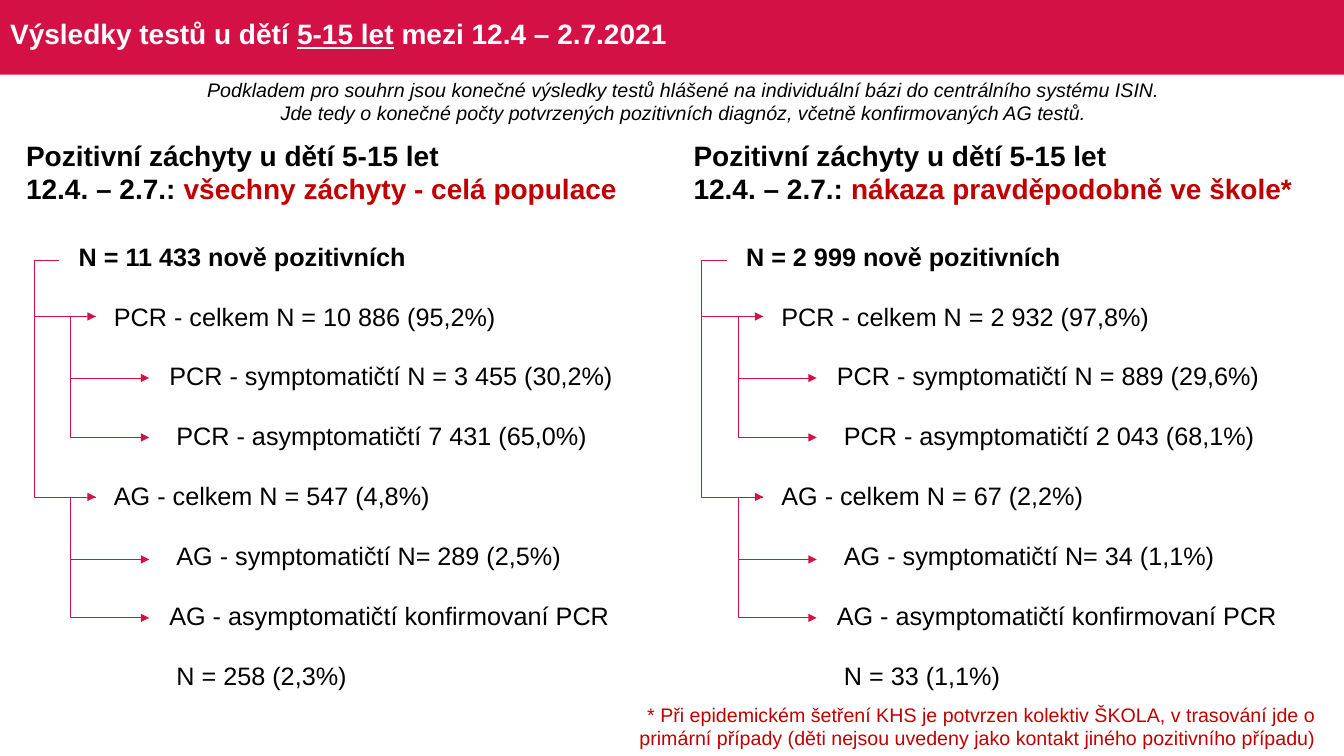
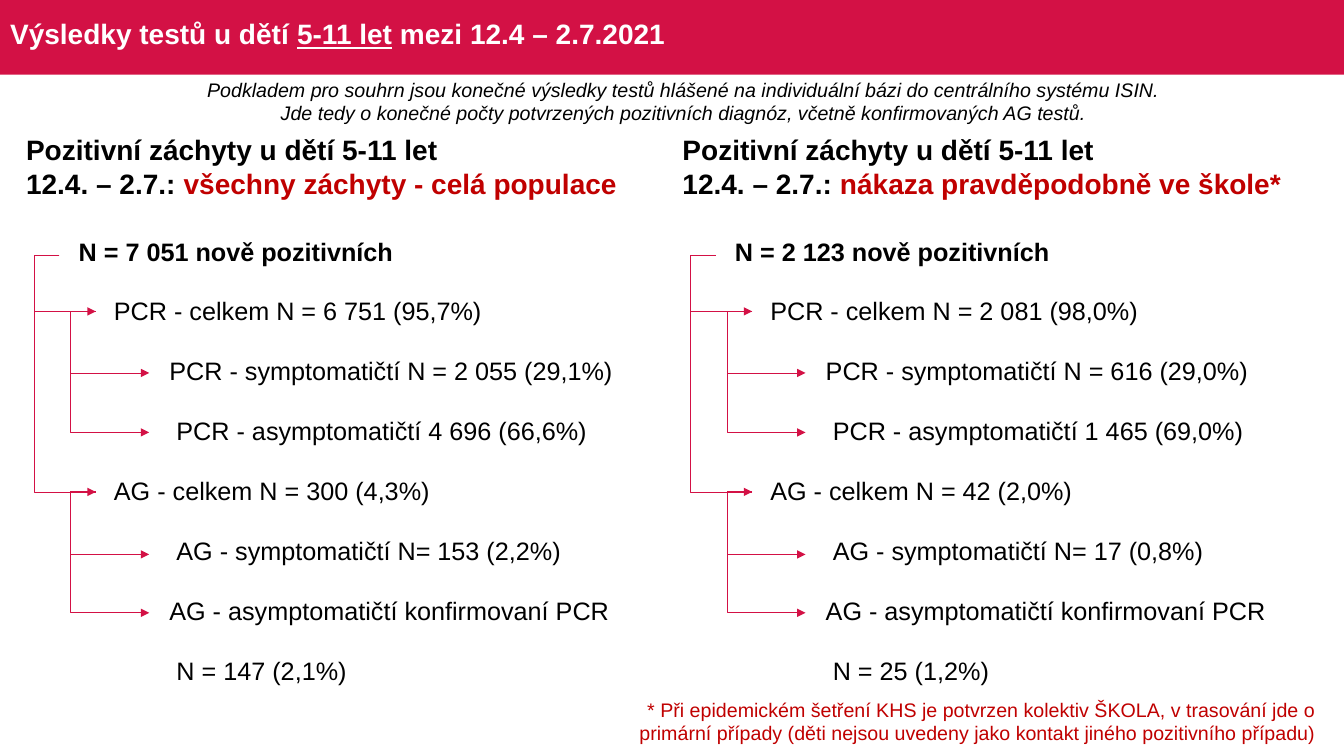
from dataclasses import dataclass

from lxml import etree
from pptx import Presentation, util as u
from pptx.dml.color import RGBColor
from pptx.enum import shapes, text
from pptx.oxml.ns import qn

PX = 9144  # one px in EMU, 100 px to the inch
PLAIN_GRID = "{2D5ABB26-0587-4C30-8999-92F81FD0307C}"


@dataclass(frozen=True)
class Theme:
    face: str = "Arial"
    brand: RGBColor = RGBColor(0xD3, 0x11, 0x45)
    white: RGBColor = RGBColor(0xFF, 0xFF, 0xFF)
    ink: RGBColor = RGBColor(0, 0, 0)
    alert: RGBColor = RGBColor(0xC0, 0, 0)
    head: int = 20
    row: int = 18
    note: int = 14
    line: float = 0.5


T = Theme()
TITLE = dict(size=T.head, color=T.white, bold=True)
HEAD = dict(size=T.head, color=T.ink, bold=True)
MARK = {**HEAD, "color": T.alert}
ROW = dict(size=T.row, color=T.ink, bold=False)
LEAD = dict(size=T.note, color=T.ink, italic=True)
NOTE = dict(size=T.note, color=T.alert)

INTRO = (
    "Podkladem pro souhrn jsou konečné výsledky testů hlášené na individuální bázi do centrálního systému ISIN.",
    "Jde tedy o konečné počty potvrzených pozitivních diagnóz, včetně konfirmovaných AG testů.",
)
FOOT = ("* Při epidemickém šetření KHS je potvrzen kolektiv ŠKOLA, v trasování jde o "
        "primární případy (děti nejsou uvedeny jako kontakt jiného pozitivního případu)")
SCOPES = "všechny záchyty - celá populace", "nákaza pravděpodobně ve škole*"

# Row wording and left indent
ROWS = (
    ("N = {} nově pozitivních", 1),
    ("PCR - celkem N = {}", 36),
    ("PCR - symptomatičtí N = {}", 91),
    ("PCR - asymptomatičtí {}", 98),
    ("AG - celkem N = {}", 36),
    ("AG - symptomatičtí N= {}", 98),
    ("AG - asymptomatičtí konfirmovaní PCR", 91),
    ("N = {}", 98),
)
# Arrows of the tree: start x, start y, end x, end y from the table's top
ARROWS = (
    (43, 33, 79, 268), (79, 89, 132, 150), (79, 89, 132, 209),
    (79, 268, 132, 330), (79, 268, 132, 388), (43, 33, 79, 89),
)
BEND = 25  # how far an arrow first runs to the left

# Age group, top of panels, then left edge and values of each panel
PAGES = (
    ("5-15 let", 132, (
        (16, ("11 433", "10 886 (95,2%)", "3 455 (30,2%)", "7 431 (65,0%)",
              "547 (4,8%)", "289 (2,5%)", "", "258 (2,3%)")),
        (678, ("2 999", "2 932 (97,8%)", "889 (29,6%)", "2 043 (68,1%)",
               "67 (2,2%)", "34 (1,1%)", "", "33 (1,1%)")))),
    ("5-11 let", 127, (
        (16, ("7 051", "6 751 (95,7%)", "2 055 (29,1%)", "4 696 (66,6%)",
              "300 (4,3%)", "153 (2,2%)", "", "147 (2,1%)")),
        (667, ("2 123", "2 081 (98,0%)", "616 (29,0%)", "1 465 (69,0%)",
               "42 (2,0%)", "17 (0,8%)", "", "25 (1,2%)")))),
)


def px(*vals):
    return [u.Emu(v * PX) for v in vals]


def write(para, runs, align=text.PP_ALIGN.LEFT):
    """Fill a paragraph with (text, format) runs."""
    para.alignment = align
    for words, form in runs:
        run = para.add_run()
        run.text = words
        run.font.name = T.face
        for key, val in form.items():
            if key == "color":
                run.font.color.rgb = val
            else:
                setattr(run.font, key, u.Pt(val) if key == "size" else val)


def add_text(slide, box, lines, align=text.PP_ALIGN.LEFT):
    frame = slide.shapes.add_textbox(*px(*box)).text_frame
    frame.word_wrap = True
    for num, runs in enumerate(lines):
        para = frame.add_paragraph() if num else frame.paragraphs[0]
        write(para, runs, align)


def add_arrow(slide, left, top, right, low):
    link = slide.shapes.add_connector(
        shapes.MSO_CONNECTOR.ELBOW, *px(left, top, right, low))
    link.line.color.rgb = T.brand
    link.line.width = u.Pt(T.line)
    props = link.element.spPr
    # Bend to the left of the start
    shift = round(-BEND / (right - left) * 100000)
    guides = props.find(qn("a:prstGeom")).get_or_add_avLst()
    etree.SubElement(guides, qn("a:gd"), name="adj1", fmla=f"val {shift}")
    # Arrowhead, no shadow
    etree.SubElement(props.find(qn("a:ln")), qn("a:tailEnd"), type="triangle")
    etree.SubElement(props, qn("a:effectLst"))


def add_rows(slide, box, vals):
    frame = slide.shapes.add_table(len(ROWS), 1, *px(*box))
    grid = frame.table
    grid.first_row = grid.horz_banding = False
    for mark in frame.element.iter(qn("a:tableStyleId")):
        mark.text = PLAIN_GRID
    for num, ((words, dent), val) in enumerate(zip(ROWS, vals)):
        cell = grid.cell(num, 0)
        cell.fill.background()
        cell.vertical_anchor = text.MSO_ANCHOR.MIDDLE
        sides = dict(left=dent, top=1, right=1, bottom=0)
        for side, size in sides.items():
            setattr(cell, f"margin_{side}", u.Emu(size * PX))
        write(cell.text_frame.paragraphs[0],
              [(words.format(val), {**ROW, "bold": num == 0})])


def add_panel(slide, left, top, ages, scope, vals):
    """Heading, table and tree of arrows for one group of cases."""
    add_rows(slide, (left + 61, top + 93, 601, 476), vals)
    add_text(slide, (left, top, 618, 77), (
        [(f"Pozitivní záchyty u dětí {ages}", HEAD)],
        [("12.4. – 2.7.: ", HEAD), (scope, MARK)]))
    for x1, y1, x2, y2 in ARROWS:
        add_arrow(slide, left + x1, top + 93 + y1, left + x2, top + 93 + y2)


def set_layout(deck):
    """Put the band and the title's place on the shared layout."""
    layout = deck.slide_layouts.get_by_name("Title Only")
    title = layout.placeholders[0]
    spots = zip(("left", "top", "width", "height"), px(0, 4, 1315, 63))
    for key, val in spots:
        setattr(title, key, val)
    return layout


def add_band(slide, layout):
    band = slide.shapes.add_shape(
        shapes.MSO_SHAPE.RECTANGLE, *px(0, 0, 1334, 74))
    band.shadow.inherit = False
    band.fill.solid()
    band.fill.fore_color.rgb = T.brand
    band.line.fill.background()
    layout.shapes.element.insert(2, band.element)


def add_page(deck, layout, ages, top, panels):
    slide = deck.slides.add_slide(layout)
    # Title
    frame = slide.shapes.title.text_frame
    frame.vertical_anchor = text.MSO_ANCHOR.MIDDLE
    para = frame.paragraphs[0]
    para.line_spacing = 0.9
    write(para, [("Výsledky testů u dětí ", TITLE),
                 (ages, {**TITLE, "underline": True}),
                 (" mezi 12.4 – 2.7.2021", TITLE)])
    # Two panels
    for (left, vals), scope in zip(panels, SCOPES):
        add_panel(slide, left, top, ages, scope, vals)
    # Footnote and introduction
    add_text(slide, (620, top + 560, 695, 57), [[(FOOT, NOTE)]],
             text.PP_ALIGN.RIGHT)
    add_text(slide, (179, 72, 998, 57), [[(line, LEAD)] for line in INTRO],
             text.PP_ALIGN.CENTER)
    return slide


def main():
    deck = Presentation()
    deck.slide_width, deck.slide_height = u.Inches(13.33), u.Inches(7.5)
    layout = set_layout(deck)
    pages = [add_page(deck, layout, *page) for page in PAGES]
    add_band(pages[0], layout)
    deck.save("out.pptx")


if __name__ == "__main__":
    main()
